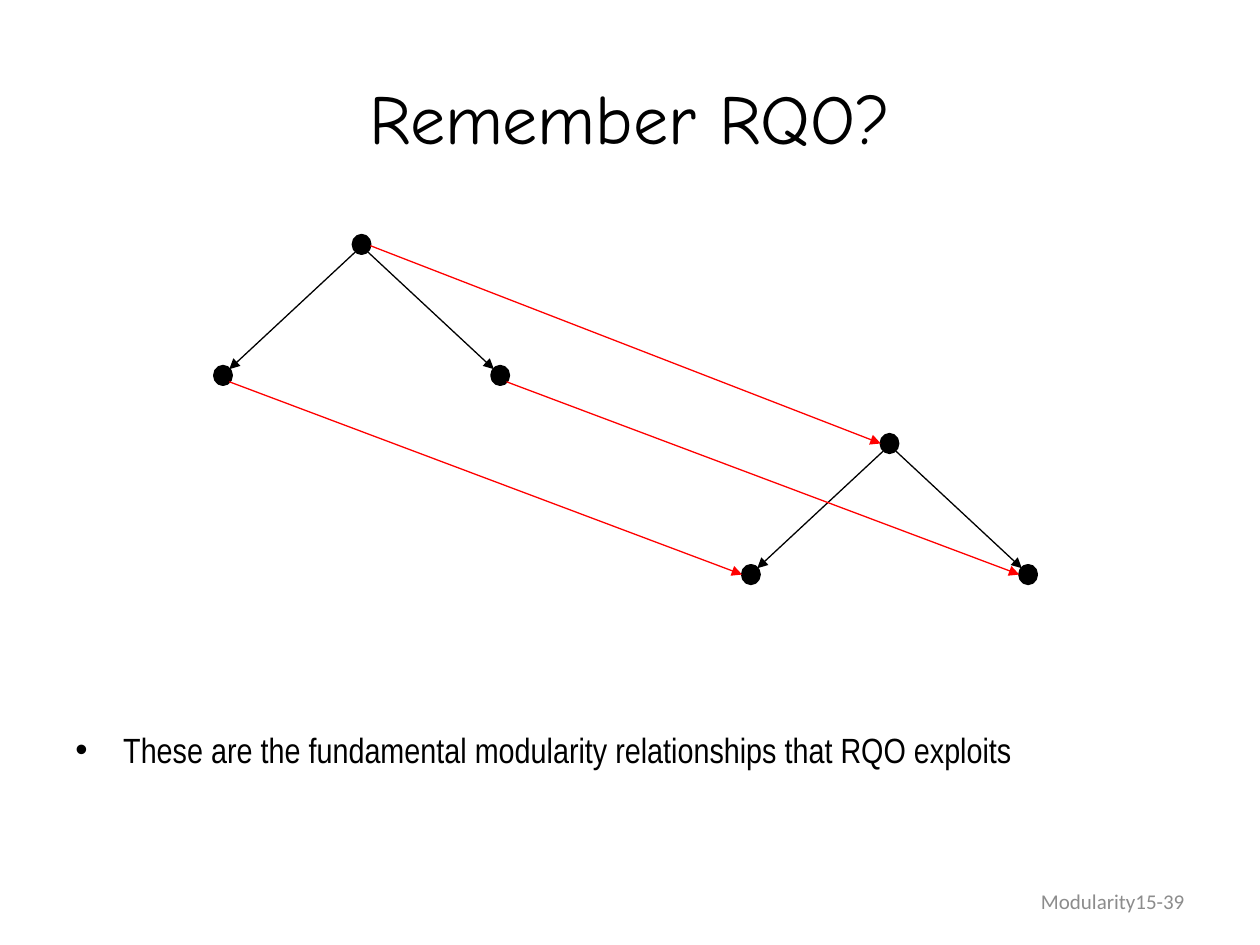
import pptx
import pptx.dml.color
import pptx.enum.shapes
import pptx.enum.text
import pptx.oxml.ns
import pptx.util
from lxml import etree

Inches = pptx.util.Inches
Pt = pptx.util.Pt
ALIGN = pptx.enum.text.PP_ALIGN
ANCHOR = pptx.enum.text.MSO_ANCHOR

BLACK, RED, GREY = "000000", "FF0000", "8C8C8C"
NODE_WIDTH, NODE_HEIGHT = 0.13, 0.14
CHILD_X, CHILD_Y = 1.1, 1.04


def color(value):
    return pptx.dml.color.RGBColor.from_string(value)


def add_element(parent, tag, **attributes):
    return etree.SubElement(parent, pptx.oxml.ns.qn(tag), **attributes)


class Deck:
    """Holds the presentation, its style and the current slide."""

    def __init__(self):
        self.presentation = pptx.Presentation()
        self.presentation.slide_width = Inches(10)
        self.presentation.slide_height = Inches(7.5)
        self.slide = self.presentation.slides.add_slide(
            self.presentation.slide_layouts[6])

    def text(self, text, left, top, width, height, *, font, size, fill=BLACK,
             align=ALIGN.LEFT, anchor=ANCHOR.MIDDLE, bullet=None, indent=0.38):
        box = self.slide.shapes.add_textbox(
            Inches(left), Inches(top), Inches(width), Inches(height))
        frame = box.text_frame
        frame.word_wrap = True
        frame.vertical_anchor = anchor
        paragraph = frame.paragraphs[0]
        paragraph.alignment = align
        if bullet:
            properties = paragraph._p.get_or_add_pPr()
            properties.set("marL", str(Inches(indent)))
            properties.set("indent", str(-Inches(indent)))
            add_element(properties, "a:buFont", typeface="Arial")
            add_element(properties, "a:buChar", char=bullet)
        run = paragraph.add_run()
        run.text = text
        run.font.name = font
        run.font.size = Pt(size)
        run.font.color.rgb = color(fill)

    def node(self, center):
        x, y = center
        shape = self.slide.shapes.add_shape(
            pptx.enum.shapes.MSO_SHAPE.OVAL,
            Inches(x - NODE_WIDTH / 2), Inches(y - NODE_HEIGHT / 2),
            Inches(NODE_WIDTH), Inches(NODE_HEIGHT))
        shape.shadow.inherit = False
        shape.fill.solid()
        shape.fill.fore_color.rgb = color(BLACK)
        shape.line.color.rgb = color(BLACK)
        shape.line.width = Pt(2)

    def arrow(self, start, end, start_offset, end_offset, stroke=BLACK):
        """Draw an arrow between two node centers, shifted to their edges."""
        points = [Inches(value + shift)
                  for point, offset in ((start, start_offset), (end, end_offset))
                  for value, shift in zip(point, offset)]
        connector = self.slide.shapes.add_connector(
            pptx.enum.shapes.MSO_CONNECTOR.STRAIGHT, *points)
        connector.line.color.rgb = color(stroke)
        connector.line.width = Pt(0.75)
        add_element(connector.line._get_or_add_ln(), "a:tailEnd", type="triangle")
        add_element(connector._element.spPr, "a:effectLst")

    def tree(self, root):
        """Draw a root with two children and return the three centers."""
        x, y = root
        centers = [root]
        self.node(root)
        for side in (-1, 1):
            child = (x + side * CHILD_X, y + CHILD_Y)
            self.node(child)
            self.arrow(root, child, (side * 0.05, 0.06), (-side * 0.05, -0.05))
            centers.append(child)
        return centers


def main():
    deck = Deck()
    deck.text("Remember RQO?", 0.5, 0.3, 9, 1.25,
              font="Comic Neue", size=40, align=ALIGN.CENTER)

    upper_tree = deck.tree((2.87, 1.94))
    lower_tree = deck.tree((7.06, 3.52))
    red_starts = [(0.07, 0.01), (0.05, 0.05), (0.05, 0.05)]
    for upper, lower, offset in zip(upper_tree, lower_tree, red_starts):
        deck.arrow(upper, lower, offset, (-0.07, 0), stroke=RED)

    deck.text("These are the fundamental modularity relationships that RQO exploits",
              0.5, 5.73, 9, 0.97, font="Arial Narrow", size=20,
              anchor=ANCHOR.TOP, bullet="•")
    deck.text("Modularity15-39", 7.17, 6.95, 2.33, 0.4,
              font="Calibri", size=12, fill=GREY, align=ALIGN.RIGHT)
    deck.presentation.save("out.pptx")


if __name__ == "__main__":
    main()
